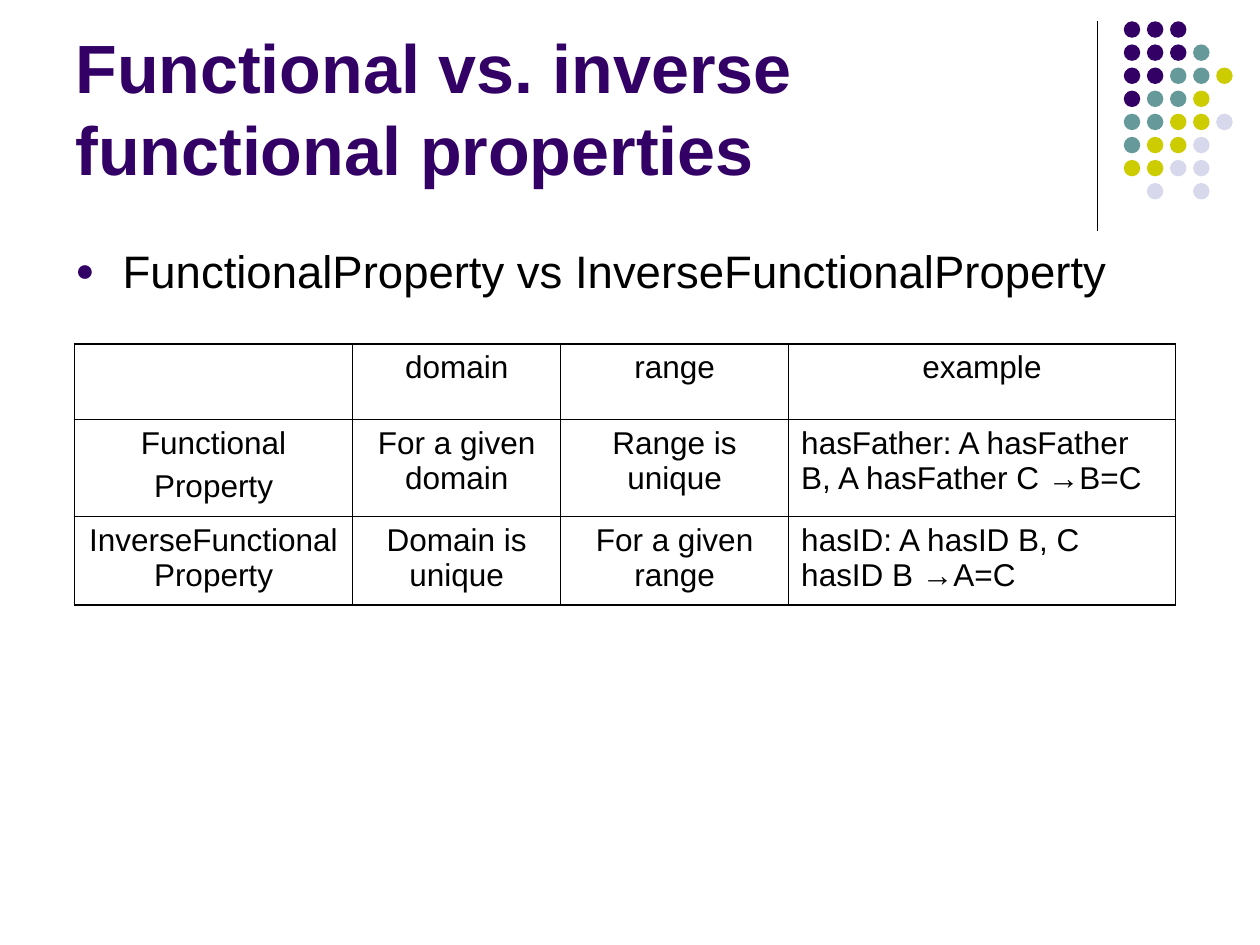
from lxml.etree import SubElement
from pptx import Presentation
from pptx.dml.color import RGBColor
from pptx.enum.shapes import MSO_CONNECTOR as Connector, MSO_SHAPE as Shape
from pptx.enum.text import MSO_ANCHOR as Anchor, PP_ALIGN as Align
from pptx.oxml.ns import qn
from pptx.util import Pt

PURPLE = RGBColor(0x33, 0x00, 0x66)
TEAL = RGBColor(0x66, 0x99, 0x99)
LIME = RGBColor(0xCC, 0xCC, 0x00)
LAVENDER = RGBColor(0xD8, 0xD8, 0xEC)
BLACK = RGBColor(0x00, 0x00, 0x00)

# One letter per dot, a blank where the grid is empty
DOT_COLORS = {"P": PURPLE, "T": TEAL, "L": LIME, "V": LAVENDER}
DOT_ROWS = ["PPP", "PPPT", "PPTTL", "PTTL", "TTLLV", "TLLV", "LLVV", " V V"]

COLUMN_WIDTHS = [159.1, 118.8, 130.3, 221]
ROW_HEIGHTS = [43.2, 55.4, 50.4]
COMPARISON = [
    ["", "domain", "range", "example"],
    ["Functional\nProperty", "For a given domain", "Range is unique",
     "hasFather: A hasFather B, A hasFather C →B=C"],
    ["InverseFunctionalProperty", "Domain is unique", "For a given range",
     "hasID: A hasID B, C hasID B →A=C"],
]


class SlideBuilder:
    font = "Arial"
    outer_border = 1.08
    inner_border = 0.45

    def __init__(self, slide):
        self.slide = slide
        self.shapes = slide.shapes

    def format_text(self, paragraph, size, color=BLACK, bold=False):
        for run in paragraph.runs:
            run.font.name = self.font
            run.font.size = Pt(size)
            run.font.bold = bold
            run.font.color.rgb = color

    def text(self, words, left, top, width, height, size, color=BLACK,
             bold=False, anchor=Anchor.TOP):
        frame = self.shapes.add_textbox(
            Pt(left), Pt(top), Pt(width), Pt(height)).text_frame
        frame.word_wrap = True
        frame.vertical_anchor = anchor
        frame.text = words
        paragraph = frame.paragraphs[0]
        self.format_text(paragraph, size, color, bold)
        return paragraph

    def bullet(self, paragraph, indent, color, percent):
        props = paragraph._p.get_or_add_pPr()
        props.set("marL", str(Pt(indent)))
        props.set("indent", str(-Pt(indent)))
        bullet_color = SubElement(props, qn("a:buClr"))
        SubElement(bullet_color, qn("a:srgbClr"), val=str(color))
        SubElement(props, qn("a:buSzPct"), val=str(percent * 1000))
        SubElement(props, qn("a:buFont"), typeface=self.font)
        SubElement(props, qn("a:buChar"), char="●")

    def line(self, x1, y1, x2, y2, width):
        rule = self.shapes.add_connector(
            Connector.STRAIGHT, Pt(x1), Pt(y1), Pt(x2), Pt(y2))
        rule.line.color.rgb = BLACK
        rule.line.width = Pt(width)
        SubElement(rule._element.spPr, qn("a:effectLst"))

    def dot(self, left, top, size, color):
        dot = self.shapes.add_shape(
            Shape.OVAL, Pt(left), Pt(top), Pt(size), Pt(size))
        dot.shadow.inherit = False
        dot.fill.solid()
        dot.fill.fore_color.rgb = color
        dot.line.fill.background()

    def border(self, cell, side, width):
        edge = SubElement(cell._tc.get_or_add_tcPr(), qn(f"a:ln{side}"),
                          w=str(Pt(width)))
        fill = SubElement(edge, qn("a:solidFill"))
        SubElement(fill, qn("a:srgbClr"), val=str(BLACK))

    def table(self, rows, left, top, widths, heights, size):
        table = self.shapes.add_table(
            len(rows), len(widths), Pt(left), Pt(top),
            Pt(sum(widths)), Pt(sum(heights))).table
        table.first_row = table.horz_banding = False
        for column, width in zip(table.columns, widths):
            column.width = Pt(width)
        for row, height in zip(table.rows, heights):
            row.height = Pt(height)

        last_row, last_col = len(rows) - 1, len(widths) - 1
        for r, row in enumerate(rows):
            for c, words in enumerate(row):
                cell = table.cell(r, c)
                cell.text_frame.text = words
                is_example = r > 0 and c == last_col
                for paragraph in cell.text_frame.paragraphs:
                    paragraph.alignment = Align.LEFT if is_example else Align.CENTER
                    paragraph.space_before = Pt(4.5)
                    self.format_text(paragraph, size)
                outside = {"L": c == 0, "R": c == last_col,
                           "T": r == 0, "B": r == last_row}
                for side, outer in outside.items():
                    self.border(cell, side,
                                self.outer_border if outer else self.inner_border)
                cell.fill.background()


def main():
    deck = Presentation()
    deck.slide_width, deck.slide_height = Pt(720), Pt(540)
    builder = SlideBuilder(deck.slides.add_slide(deck.slide_layouts[6]))

    # Corner ornament: vertical rule and dot grid
    builder.line(627.1, 12.2, 627.1, 131.8, 0.75)
    pitch = 13.2
    for r, dots in enumerate(DOT_ROWS):
        for c, letter in enumerate(dots):
            if letter in DOT_COLORS:
                builder.dot(642.2 + c * pitch, 12.2 + r * pitch, 9.4,
                            DOT_COLORS[letter])

    # Title
    builder.text("Functional vs. inverse functional properties",
                 36, 9.4, 594, 102.2, 39, PURPLE, True, Anchor.BOTTOM)

    # Topic
    topic = builder.text("FunctionalProperty vs InverseFunctionalProperty",
                         36, 135.4, 648, 347, 26)
    topic.space_before = Pt(6.5)
    builder.bullet(topic, 27, PURPLE, 70)

    # Comparison table
    builder.table(COMPARISON, 42.5, 196.6, COLUMN_WIDTHS, ROW_HEIGHTS, 18)

    deck.save("out.pptx")


if __name__ == "__main__":
    main()
